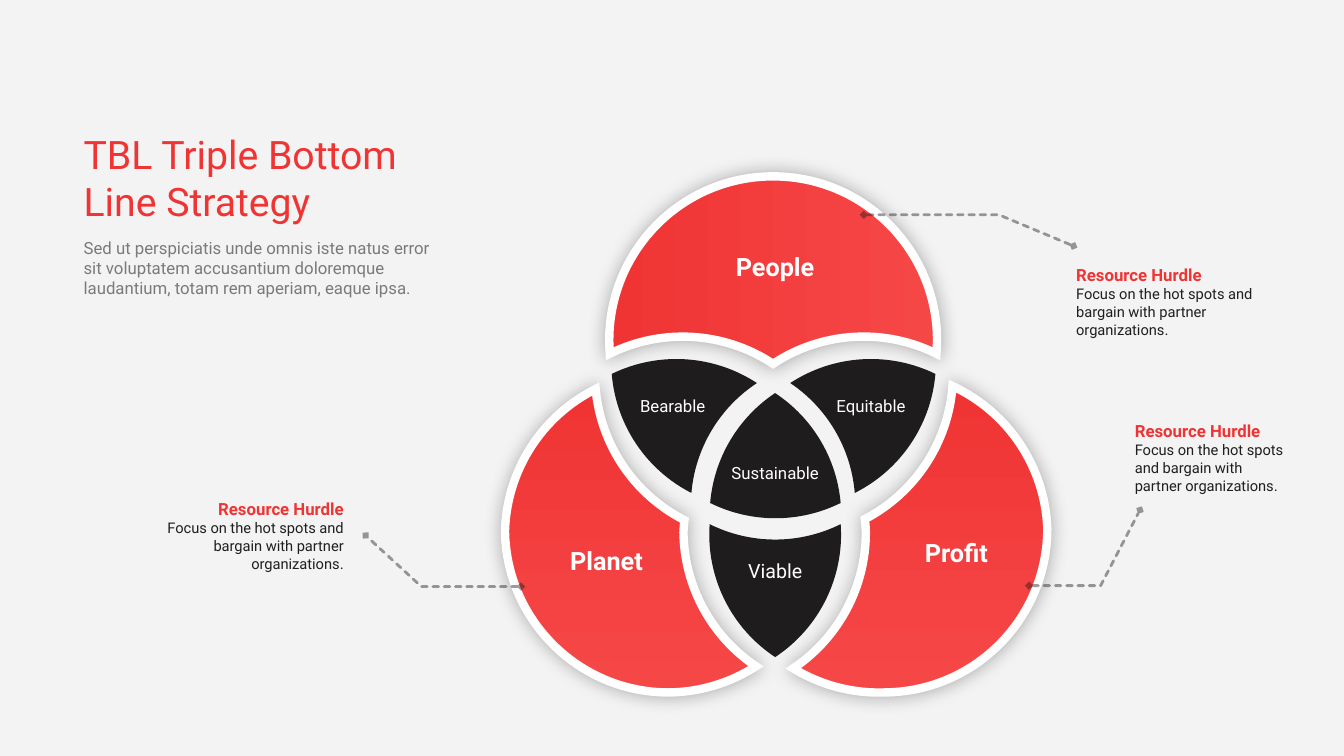
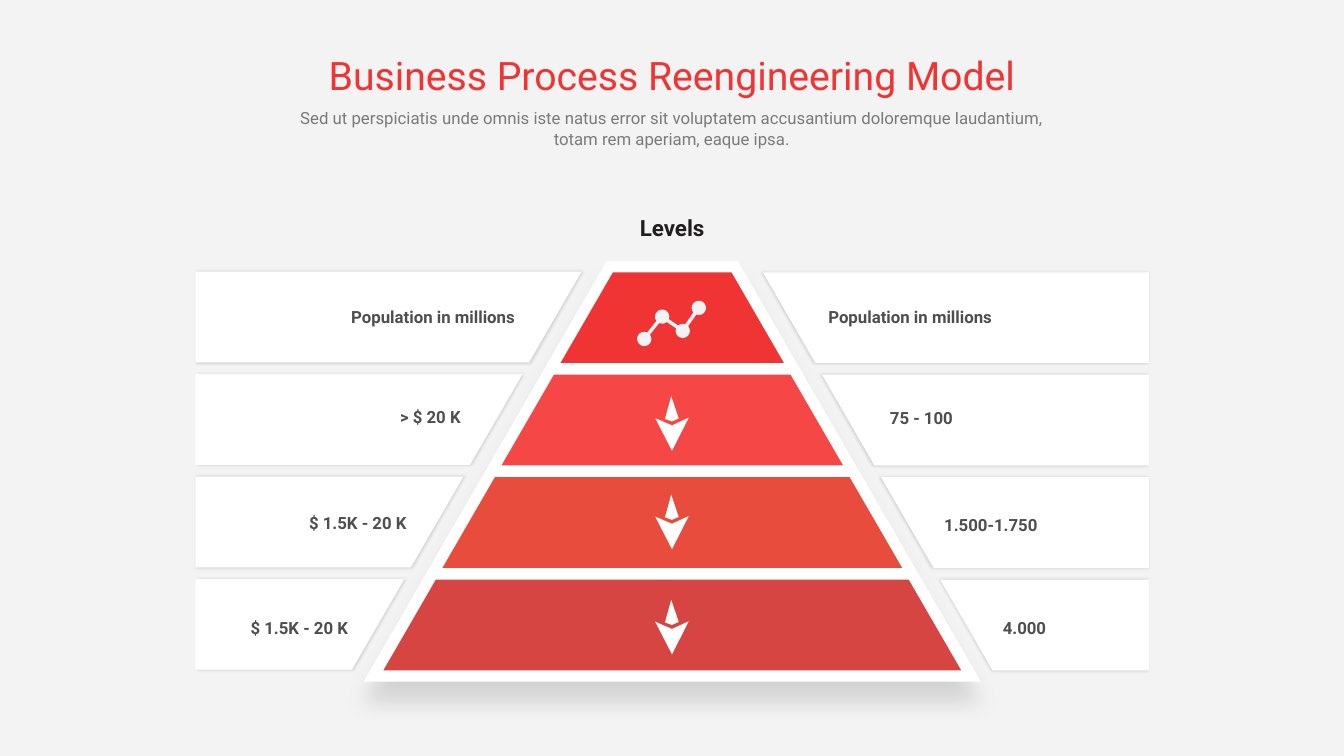
import math

from lxml import etree
from pptx import Presentation
from pptx.dml.color import RGBColor
from pptx.enum.dml import MSO_LINE
from pptx.enum.text import MSO_ANCHOR, MSO_AUTO_SIZE, PP_ALIGN
from pptx.oxml.ns import qn
from pptx.util import Pt

SYS_DASH = MSO_LINE.SQUARE_DOT
TOP, MIDDLE, BOTTOM = MSO_ANCHOR.TOP, MSO_ANCHOR.MIDDLE, MSO_ANCHOR.BOTTOM
LEFT, CENTER, RIGHT = PP_ALIGN.LEFT, PP_ALIGN.CENTER, PP_ALIGN.RIGHT
FIT_SHAPE = MSO_AUTO_SIZE.SHAPE_TO_FIT_TEXT

PAPER, WHITE, INK, BLACK = "F3F3F3", "FFFFFF", "201E1E", "1E1C1C"
RED, CORAL = "F03434", "F64747"
FONT = "Roboto"

# role: (font values, colour, opacity in percent)
TEXT_STYLES = {
    "title": ({"size": Pt(28)}, RED, 100),
    "intro": ({"size": Pt(12)}, INK, 56),
    "petal": ({"size": Pt(18), "bold": True}, WHITE, 100),
    "overlap": ({"size": Pt(12)}, WHITE, 100),
    "large overlap": ({"size": Pt(14)}, WHITE, 100),
    "note head": ({"size": Pt(12), "bold": True}, RED, 100),
    "note": ({"size": Pt(10.5)}, INK, 100),
    "note stop": ({"size": Pt(11)}, INK, 100),
    "levels": ({"size": Pt(16), "bold": True}, INK, 100),
    "label": ({"size": Pt(12), "bold": True}, INK, 78),
}
INTRO = ("Sed ut perspiciatis unde omnis iste natus error sit voluptatem "
         "accusantium doloremque laudantium, totam rem aperiam, eaque ipsa.")


def color(hex_code):
    return RGBColor.from_string(hex_code)


def set_opacity(element, percent):
    if percent < 100:
        rgb = element.find(".//" + qn("a:srgbClr"))
        etree.SubElement(rgb, qn("a:alpha"), val=str(percent * 1000))


def arc(center, radius, start, sweep):
    """Cubic curves (start, two controls, end) along a circle."""
    def at(angle, tangent=0):
        cos, sin = math.cos(angle), math.sin(angle)
        return (center[0] + radius * (cos - tangent * sin),
                center[1] + radius * (sin + tangent * cos))

    count = math.ceil(abs(sweep) / 1.75)
    step = sweep / count
    pull = 4 / 3 * math.tan(step / 4)
    angles = [start + step * index for index in range(count)]
    return [(at(a), at(a, pull), at(a + step, -pull), at(a + step))
            for a in angles]


def arc_outline(corners, radius):
    """Curves of a closed clockwise outline of arcs of one radius.

    Each corner is (x, y, bend); bend is 1 where the arc to the next
    corner bulges outward and -1 where it bulges inward.
    """
    curves = []
    for (x0, y0, bend), (x1, y1, _) in zip(corners, corners[1:] + corners[:1]):
        chord = math.hypot(x1 - x0, y1 - y0)
        depth = math.sqrt(radius ** 2 - chord ** 2 / 4) * bend / chord
        center = ((x0 + x1) / 2 - (y1 - y0) * depth,
                  (y0 + y1) / 2 + (x1 - x0) * depth)
        start = math.atan2(y0 - center[1], x0 - center[0])
        sweep = 2 * math.asin(chord / 2 / radius) * bend
        curves += arc(center, radius, start, sweep)
    return curves


def trend_outline(nodes, radius, half_width):
    """Curves around a chain of round nodes; the gaps are straight bars."""
    tour = nodes + nodes[-2:0:-1]
    half_gap = math.asin(half_width / radius)
    curves = []
    for index, (x, y) in enumerate(tour):
        before, after = tour[index - 1], tour[(index + 1) % len(tour)]
        start = math.atan2(before[1] - y, before[0] - x) + half_gap
        end = math.atan2(after[1] - y, after[0] - x) - half_gap
        curves += arc((x, y), radius, start, (end - start) % (2 * math.pi))
    return curves


def curve_point(curve, t):
    weights = ((1 - t) ** 3, 3 * t * (1 - t) ** 2, 3 * t * t * (1 - t), t ** 3)
    return tuple(sum(w * point[axis] for w, point in zip(weights, curve))
                 for axis in (0, 1))


class Deck:
    def __init__(self):
        self.presentation = Presentation()
        self.presentation.slide_width = Pt(960)
        self.presentation.slide_height = Pt(540)
        self.slide = None

    def new_slide(self):
        layout = self.presentation.slide_layouts[6]
        self.slide = self.presentation.slides.add_slide(layout)
        self.slide.background.fill.solid()
        self.slide.background.fill.fore_color.rgb = color(PAPER)

    def text(self, box, paragraphs, align=LEFT, anchor=MIDDLE):
        """Each paragraph is a list of (text, role) runs."""
        frame = self.slide.shapes.add_textbox(*map(Pt, box)).text_frame
        values = {"word_wrap": True, "auto_size": FIT_SHAPE,
                  "vertical_anchor": anchor}
        for name, value in values.items():
            setattr(frame, name, value)
        for index, runs in enumerate(paragraphs):
            paragraph = frame.add_paragraph() if index else frame.paragraphs[0]
            paragraph.alignment = align
            for words, role in runs:
                font_values, hex_code, opacity = TEXT_STYLES[role]
                run = paragraph.add_run()
                run.text = words
                for name, value in {"name": FONT, **font_values}.items():
                    setattr(run.font, name, value)
                run.font.color.rgb = color(hex_code)
                set_opacity(run.font._element, opacity)

    def heading(self, title_box, intro_box, title, align):
        self.text(title_box, [[(title, "title")]], align, BOTTOM)
        self.text(intro_box, [[(INTRO, "intro")]], align, TOP)

    def note(self, box, align):
        self.text(box, [
            [("Resource Hurdle", "note head")],
            [("Focus on the hot spots and bargain with partner organizations",
              "note"), (".", "note stop")],
        ], align)

    def outline(self, points, closed=True):
        points = [(Pt(x), Pt(y)) for x, y in points]
        builder = self.slide.shapes.build_freeform(*points[0])
        builder.add_line_segments(points[1:], close=closed)
        shape = builder.convert_to_shape()
        shape.shadow.inherit = False
        return shape

    def curved(self, curves):
        """A closed outline of cubic curves, sized by points along them."""
        shape = self.outline([curve_point(curve, step / 16)
                              for curve in curves for step in range(16)])
        track = shape._element.find(".//" + qn("a:path"))
        for child in list(track):
            track.remove(child)

        def draw(tag, points):
            segment = etree.SubElement(track, qn(tag))
            for x, y in points:
                etree.SubElement(segment, qn("a:pt"), x=str(Pt(x) - shape.left),
                                 y=str(Pt(y) - shape.top))

        last = curves[0][0]
        draw("a:moveTo", [last])
        for start, *rest in curves:
            if math.dist(last, start) > 0.1:
                draw("a:lnTo", [start])
            draw("a:cubicBezTo", rest)
            last = rest[-1]
        etree.SubElement(track, qn("a:close"))
        return shape

    def fill(self, shape, hex_code):
        shape.fill.solid()
        shape.fill.fore_color.rgb = color(hex_code)
        shape.line.fill.background()
        return shape

    def shadow(self, shape, opacity, blur, distance=0, direction=0):
        effects = shape._element.spPr.find(qn("a:effectLst"))
        outer = etree.SubElement(
            effects, qn("a:outerShdw"), blurRad=str(Pt(blur)),
            dist=str(Pt(distance)), dir=str(direction * 60000),
            algn="ctr", rotWithShape="0")
        etree.SubElement(outer, qn("a:srgbClr"), val="000000")
        set_opacity(outer, opacity)

    def polygon(self, points, hex_code):
        return self.fill(self.outline(points), hex_code)

    def petal(self, corners, gradient_angle):
        shape = self.curved(arc_outline(corners, 117))
        shape.fill.gradient()
        shape.fill.gradient_angle = gradient_angle
        for stop, hex_code in zip(shape.fill.gradient_stops, (RED, CORAL)):
            stop.color.rgb = color(hex_code)
        shape.line.color.rgb = color(WHITE)
        shape.line.width = Pt(6)
        etree.SubElement(shape.line._get_or_add_ln(), qn("a:miter"), lim="800000")
        self.shadow(shape, 29, 13)

    def callout(self, points):
        shape = self.outline(points, closed=False)
        shape.fill.background()
        shape.line.color.rgb = color(BLACK)
        shape.line.width = Pt(2)
        shape.line.dash_style = SYS_DASH
        line = shape.line._get_or_add_ln()
        line.set("cap", "rnd")
        set_opacity(line, 44)
        for end in ("a:headEnd", "a:tailEnd"):
            etree.SubElement(line, qn(end), type="diamond")

    def down_arrow(self, x, y):
        head = [(12, 15.3), (0, 20.9), (-12, 15.7), (0, 39)]
        tail = [(0, 18), (4.8, 15.9), (-0.5, 0), (-5, 16.2)]
        for part in (head, tail):
            self.polygon([(x + dx, y + dy) for dx, dy in part], WHITE)


def triple_bottom_line(deck):
    deck.new_slide()
    deck.heading((52.6, 89, 272.9, 74.9), (52.6, 165.9, 272.9, 51.1),
                 "TBL Triple Bottom Line Strategy", LEFT)

    planet = [(425.5, 277.9, -1), (488.9, 371.5, -1), (488.2, 380.2, -1),
              (540, 475.9, 1), (476.6, 494.6, 1), (360.7, 379.4, 1)]
    profit = [(680.4, 275.8, 1), (748.1, 377.3, 1), (632.2, 494.6, 1),
              (566.6, 477.4, -1), (618.5, 380.2, -1), (617.8, 370.8, -1)]
    people = [(552.2, 259.9, -1), (435.6, 252.7, 1), (552.2, 126, 1),
              (668.9, 252.7, -1)]
    for corners, angle in ((planet, 270), (profit, 270), (people, 0)):
        deck.petal(corners, angle)

    viable = [(506.9, 374.4, -1), (600.5, 374.4, 1), (553.7, 469.4, 1)]
    bearable = [(437, 267.1, 1), (540.7, 273.6, -1), (493.9, 352.1, 1)]
    equitable = [(564.5, 273.6, 1), (668.2, 267.1, 1), (610.6, 352.1, -1)]
    sustainable = [(553.7, 280.8, 1), (600.5, 359.3, 1), (507.3, 359.3, 1)]
    for corners in (viable, bearable, equitable, sustainable):
        deck.fill(deck.curved(arc_outline(corners, 105)), BLACK)

    for box, words, role in (
        ((501.8, 178.6, 103.7, 23), "People", "petal"),
        ((381.4, 388.5, 103.7, 23), "Planet", "petal"),
        ((631.4, 383, 103.7, 23), "Profit", "petal"),
        ((437, 279, 87.1, 21.6), "Bearable", "overlap"),
        ((586.9, 279, 70.6, 21.6), "Equitable", "overlap"),
        ((508.7, 326.9, 90, 21.6), "Sustainable", "overlap"),
        ((518.4, 398.2, 70.6, 19.4), "Viable", "large overlap"),
    ):
        deck.text(box, [[(words, role)]], CENTER)

    for points, note_box, align in (
        ([(617, 153.4), (713.5, 153.4), (766.8, 175.7)],
         (761.6, 185.2, 168.5, 60.5), LEFT),
        ([(372.2, 419), (301, 419), (261.2, 382.5)],
         (111.6, 352.3, 141.1, 60.5), RIGHT),
        ([(735.1, 418.3), (786.2, 418.3), (814.3, 364.3)],
         (803.5, 296.6, 126, 60.5), LEFT),
    ):
        deck.callout(points)
        deck.note(note_box, align)


def reengineering_model(deck):
    deck.new_slide()
    deck.heading((195.8, 32.8, 568.1, 41), (205.9, 73.7, 547.9, 36),
                 "Business Process Reengineering Model", CENTER)

    axis, first_top, row_pitch, row_height = 480.2, 194.5, 73.2, 64.8
    row_widening, slant = 42.2, 37.5
    backdrop = deck.polygon(
        [(axis - 46.8, 186.5), (axis + 46.8, 186.5),
         (axis + 220.4, 486.9), (axis - 220.4, 486.9)], WHITE)
    deck.shadow(backdrop, 13, 15, 15, 90)

    for row, band_color in enumerate((RED, CORAL, "E74C3C", "D64541")):
        top = first_top + row * row_pitch
        bottom = top + row_height
        for side, lift, direction in ((-1, 0.5, 0), (1, 0, 180)):
            inner, outer = 64.8 + row * row_widening, axis + side * 340.6
            panel = deck.polygon(
                [(axis + side * inner, top - lift),
                 (axis + side * (inner + slant), bottom - lift),
                 (outer, bottom - lift), (outer, top - lift)], WHITE)
            deck.shadow(panel, 12, 2, 1, direction)
        half = 42.3 + row * row_widening
        deck.polygon([(axis - half, top), (axis + half, top),
                      (axis + half + slant, bottom),
                      (axis - half - slant, bottom)], band_color)

    trend_nodes = [(460.2, 242.1), (473, 226.2), (487.7, 236.3), (499.2, 219.9)]
    deck.fill(deck.curved(trend_outline(trend_nodes, 5.1, 1.25)), PAPER)
    for arrow_top in (283, 353.3, 428.4):
        deck.down_arrow(axis - 0.2, arrow_top)

    deck.text((434, 149.5, 92.2, 26.6), [[("Levels", "levels")]], CENTER)
    width, height = 160, 21.6
    for right_edge, y, words in (
        (374.9, 215.3, "Population in millions"), (336.3, 286.6, "> $ 20 K"),
        (297.6, 362.9, "$ 1.5K - 20 K"), (255.8, 437.4, "$ 1.5K - 20 K"),
    ):
        deck.text((right_edge - width, y, width, height),
                  [[(words, "label")]], RIGHT)
    for left_edge, y, words in (
        (584.6, 215.3, "Population in millions"), (628.6, 287.4, "75 - 100"),
        (667.4, 364.1, "1.500-1.750"), (709.2, 437.4, "4.000"),
    ):
        deck.text((left_edge, y, width, height), [[(words, "label")]])


def main():
    deck = Deck()
    triple_bottom_line(deck)
    reengineering_model(deck)
    deck.presentation.save("out.pptx")


if __name__ == "__main__":
    main()
